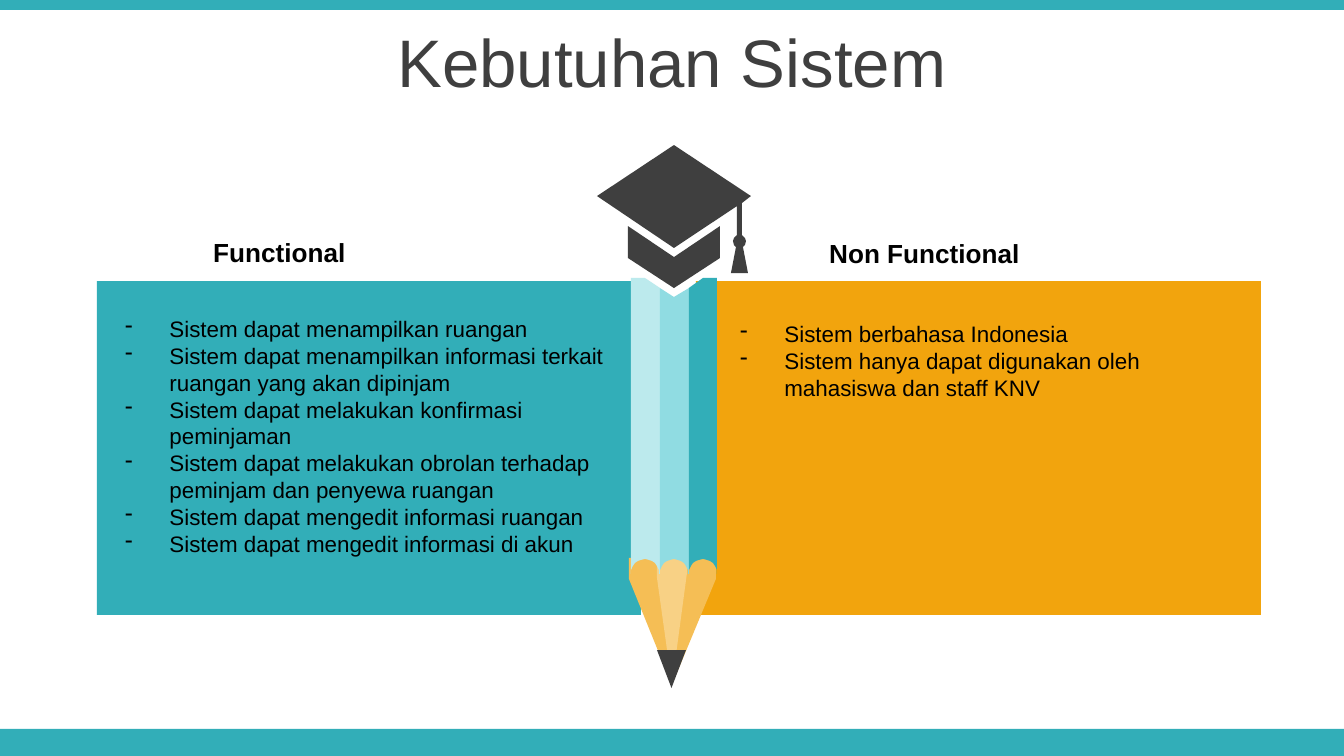
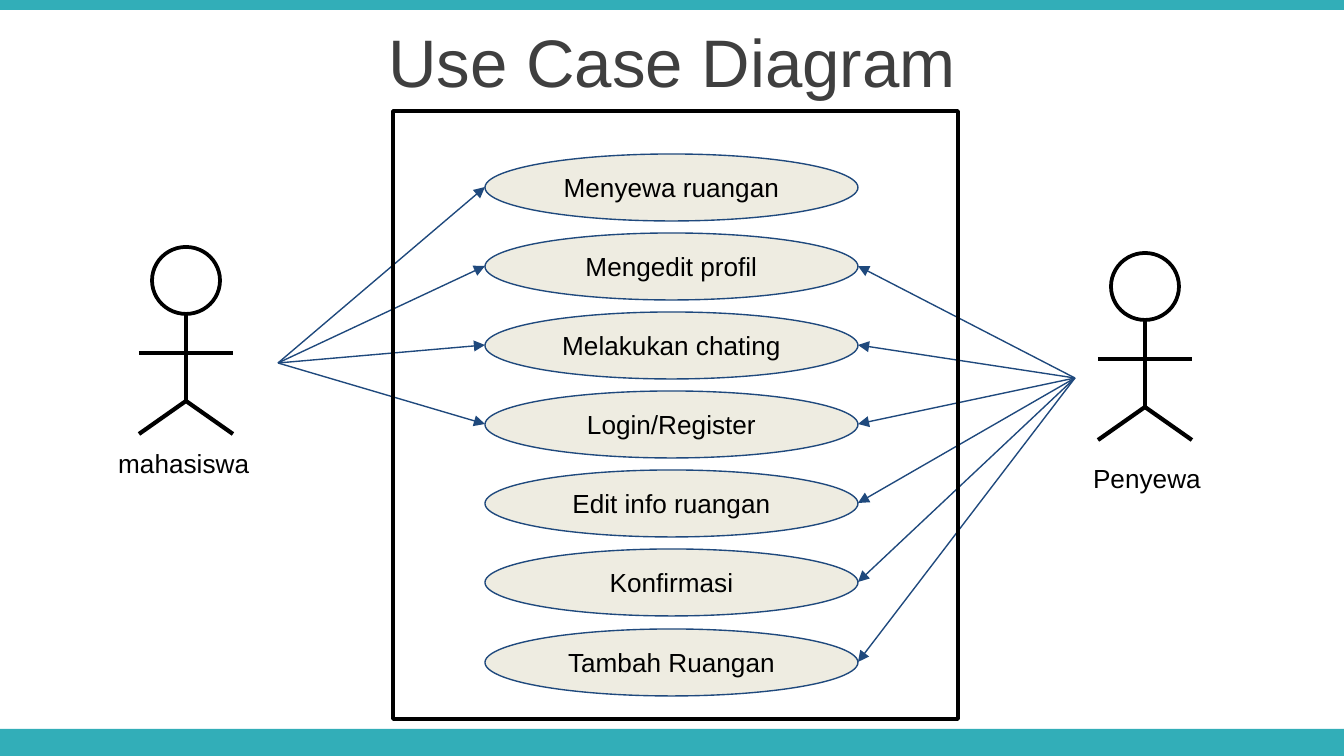
from math import cos, pi, sin

from lxml.etree import SubElement
from pptx import Presentation
from pptx.dml.color import RGBColor
from pptx.enum.shapes import MSO_CONNECTOR, MSO_SHAPE
from pptx.enum.text import MSO_ANCHOR, PP_ALIGN
from pptx.oxml.ns import qn
from pptx.util import Inches, Pt

PX = 6804  # EMU per px, 1344 px across the slide
WIDTH, HEIGHT = 1344, 756

TEAL = RGBColor(0x32, 0xAE, 0xB8)
MID_TEAL = RGBColor(0x90, 0xDC, 0xE2)
PALE_TEAL = RGBColor(0xBC, 0xEA, 0xED)
ORANGE = RGBColor(0xF2, 0xA4, 0x0D)
WOOD = RGBColor(0xF5, 0xBE, 0x55)
PALE_WOOD = RGBColor(0xF8, 0xD1, 0x85)
CHARCOAL = RGBColor(0x3F, 0x3F, 0x3F)
CREAM = RGBColor(0xEE, 0xEC, 0xE1)
NAVY = RGBColor(0x1F, 0x49, 0x7D)
BLACK = RGBColor(0, 0, 0)


def paint(shape, fill=None, line=None, width=0):
    shape.shadow.inherit = False
    if fill is None:
        shape.fill.background()
    else:
        shape.fill.solid()
        shape.fill.fore_color.rgb = fill
    if line is None:
        shape.line.fill.background()
    else:
        shape.line.color.rgb = line
        shape.line.width = Pt(width)
    return shape


def write(shape, lines, size, colour=BLACK, align=PP_ALIGN.LEFT,
          anchor=MSO_ANCHOR.MIDDLE, bold=False):
    """Fill the shape with one paragraph per line and return its paragraphs."""
    frame = shape.text_frame
    frame.word_wrap = True
    frame.vertical_anchor = anchor
    frame.text = "\n".join(lines)
    for para in frame.paragraphs:
        para.alignment = align
        para.font.name = "Arial"
        para.font.size = Pt(size)
        para.font.bold = bold
        para.font.color.rgb = colour
    return frame.paragraphs


deck = Presentation()
deck.slide_width = WIDTH * PX
deck.slide_height = HEIGHT * PX

# Shared bands and title
pages = []
for title in ("Kebutuhan Sistem", "Use Case Diagram"):
    page = deck.slides.add_slide(deck.slide_layouts[6])
    for top, height in ((729, 27), (0, 10)):
        paint(page.shapes.add_shape(MSO_SHAPE.RECTANGLE, 0, top * PX,
                                    WIDTH * PX, height * PX), TEAL)
    box = page.shapes.add_textbox(0, 19 * PX, WIDTH * PX, 84 * PX)
    write(box, [title], 36, CHARCOAL, PP_ALIGN.CENTER)
    pages.append(page)
needs_page, use_case_page = pages

# Slide 1: two panels with their lists
panels = [
    ("Functional", (200, 232), (97, 544, TEAL), (89, 281, 537), [
        "Sistem dapat menampilkan ruangan",
        "Sistem dapat menampilkan informasi terkait ruangan yang akan dipinjam",
        "Sistem dapat melakukan konfirmasi peminjaman",
        "Sistem dapat melakukan obrolan terhadap peminjam dan penyewa ruangan",
        "Sistem dapat mengedit informasi ruangan",
        "Sistem dapat mengedit informasi di akun",
    ]),
    ("Non Functional", (816, 233), (696, 565, ORANGE), (704, 286, 520), [
        "Sistem berbahasa Indonesia",
        "Sistem hanya dapat digunakan oleh mahasiswa dan staff KNV",
    ]),
]
shapes = needs_page.shapes
for heading, (head_left, head_top), (left, width, colour), text_at, needs in panels:
    paint(shapes.add_shape(MSO_SHAPE.RECTANGLE, left * PX, 281 * PX,
                           width * PX, 334 * PX), colour)
    text_left, text_top, text_width = text_at
    box = shapes.add_textbox(text_left * PX, text_top * PX, text_width * PX, 271 * PX)
    box.text_frame.margin_top = 34 * PX
    for para in write(box, needs, 12, anchor=MSO_ANCHOR.TOP):
        properties = para._p.get_or_add_pPr()
        properties.set("marL", str(Inches(0.5)))
        properties.set("indent", str(Inches(-0.33)))
        SubElement(properties, qn("a:buChar")).set("char", "-")
    box = shapes.add_textbox(head_left * PX, head_top * PX, 298 * PX, 40 * PX)
    write(box, [heading], 14, bold=True)

# Slide 1: pencil and graduation cap, each outline a list of contours
left_arc, middle_arc, right_arc = [
    [(centre + 14 * cos(step * pi / 12), 574 - 15 * sin(step * pi / 12))
     for step in range(13)]
    for centre in (645, 674, 703)
]
chevron = [(628, 226), (674, 257), (720, 226), (720, 258), (674, 288), (628, 258)]
board_and_tassel = [
    (674, 145), (751, 196), (742, 203), (742, 235), (745, 238), (746, 241),
    (745, 245), (743, 247), (748, 273), (731, 273), (736, 247), (734, 245),
    (733, 241), (734, 238), (737, 235), (737, 206), (674, 248), (597, 196),
]
outlines = [
    (WOOD, [[(629, 558), (716, 559), (716, 579), (672, 685), (629, 579)]]),
    (PALE_WOOD, [[(657, 558), (687, 558), (687, 573), (672, 685), (657, 578)]]),
    (PALE_TEAL, [[(631, 278), (645, 278), (660, 288), (660, 574), *left_arc,
                  (631, 574)]]),
    (MID_TEAL, [[(660, 288), (674, 297), (689, 288), (689, 574), *middle_arc,
                 (660, 574)]]),
    (TEAL, [[(703, 278), (717, 278), (717, 574), *right_arc, (689, 574),
             (689, 288)]]),
    (CHARCOAL, [chevron, board_and_tassel]),
]
for colour, contours in outlines:
    builder = shapes.build_freeform(*contours[0][0], scale=PX)
    builder.add_line_segments(contours[0][1:])
    for contour in contours[1:]:
        builder.move_to(*contour[0])
        builder.add_line_segments(contour[1:])
    paint(builder.convert_to_shape(), colour)
lead = shapes.add_shape(MSO_SHAPE.ISOSCELES_TRIANGLE, 657 * PX, 650 * PX,
                        29 * PX, 38 * PX)
lead.rotation = 180
paint(lead, CHARCOAL)

# Slide 2: use cases, evenly stacked
use_cases = ["Menyewa ruangan", "Mengedit profil", "Melakukan chating",
             "Login/Register", "Edit info ruangan", "Konfirmasi", "Tambah Ruangan"]
shapes = use_case_page.shapes
middles = []
for index, use_case in enumerate(use_cases):
    top = 154 + index * 475 // 6
    middles.append(top + 33)
    oval = shapes.add_shape(MSO_SHAPE.OVAL, 485 * PX, top * PX, 373 * PX, 67 * PX)
    paint(oval, CREAM, NAVY, 0.75)
    write(oval, [use_case], 14, align=PP_ALIGN.CENTER)

# Slide 2: actors and their links to the use cases
actors = [
    ("mahasiswa", PP_ALIGN.LEFT, (105, 441), (186, 247), (278, 363), 485, middles[:4]),
    ("Penyewa", PP_ALIGN.CENTER, (1065, 456), (1145, 253), (1075, 378), 858, middles[1:]),
]
lines = []
for name, align, (left, top), (spine, crown), hub, edge, targets in actors:
    box = shapes.add_textbox(left * PX, top * PX, 164 * PX, 32 * PX)
    write(box, [name], 14, align=align, anchor=MSO_ANCHOR.TOP)
    paint(shapes.add_shape(MSO_SHAPE.OVAL, (spine - 34) * PX, crown * PX,
                           68 * PX, 67 * PX), None, BLACK, 2)
    neck, arms, hips, feet = crown + 67, crown + 106, crown + 154, crown + 187
    lines += [(hub, (edge, middle), NAVY, 0.75, True) for middle in targets]
    lines += [(start, end, BLACK, 2.25, False) for start, end in (
        ((spine, neck), (spine, hips)),
        ((spine, hips), (spine - 47, feet)),
        ((spine, hips), (spine + 47, feet)),
        ((spine - 47, arms), (spine + 47, arms)),
    )]

for start, end, colour, width, has_arrow in lines:
    connector = shapes.add_connector(
        MSO_CONNECTOR.STRAIGHT, *(length * PX for length in start + end))
    connector.line.color.rgb = colour
    connector.line.width = Pt(width)
    properties = connector.element.spPr
    if has_arrow:
        SubElement(properties.find(qn("a:ln")), qn("a:tailEnd")).set("type", "triangle")
    SubElement(properties, qn("a:effectLst"))

paint(shapes.add_shape(MSO_SHAPE.RECTANGLE, 393 * PX, 111 * PX, 565 * PX, 608 * PX),
      None, BLACK, 2)

deck.save("out.pptx")
